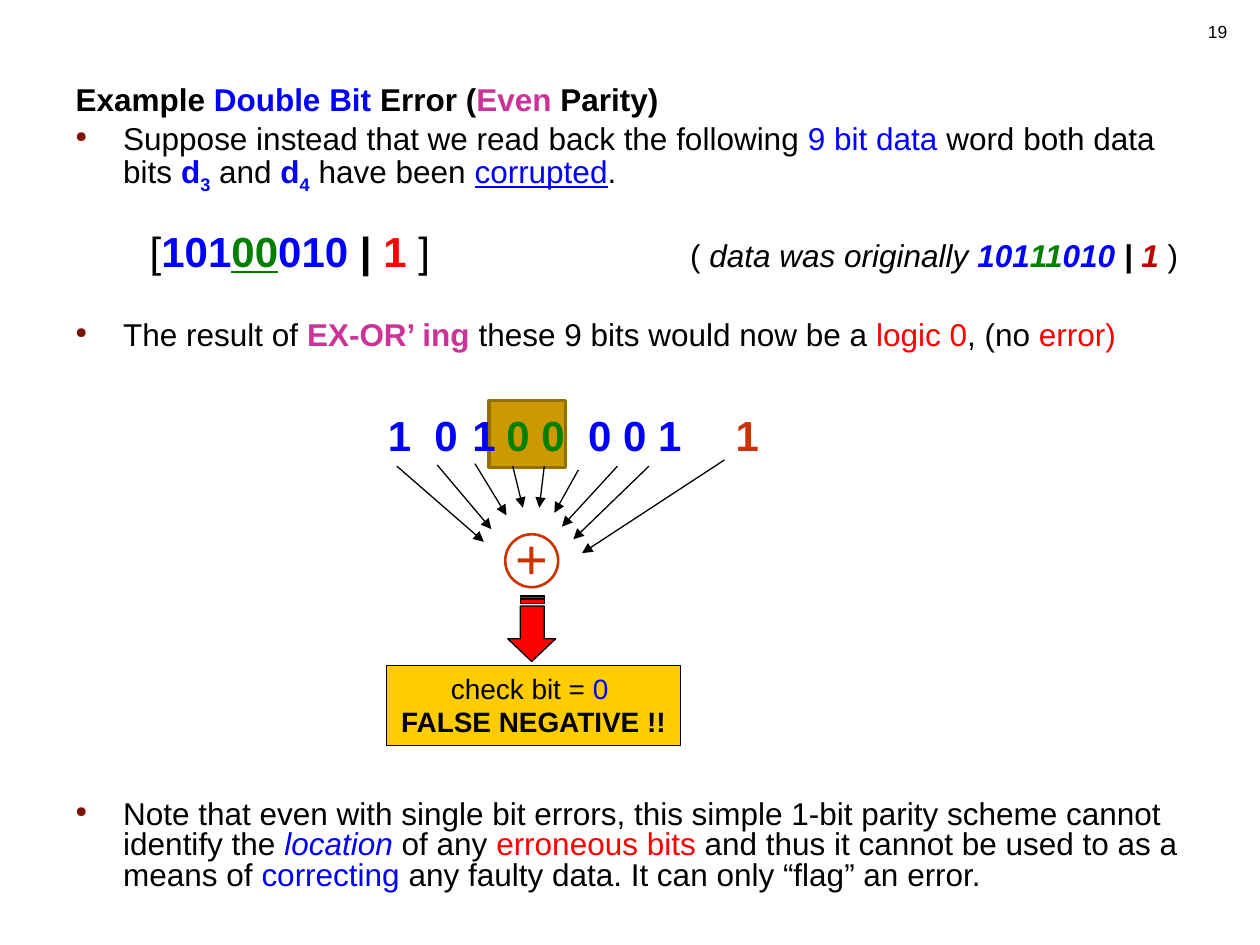
import pptx
import pptx.dml.color
import pptx.enum.shapes
import pptx.enum.text
import pptx.oxml
import pptx.oxml.ns
import pptx.util
from pptx.util import Inches, Pt

BLACK, BLUE, RED, GREEN = "000000", "0000FF", "FF0000", "008000"
PINK, RUST, GOLD = "CC3399", "CC3300", "FFCC00"
ALIGN = pptx.enum.text.PP_ALIGN
SHAPE = pptx.enum.shapes.MSO_SHAPE


def rgb(value):
    return pptx.dml.color.RGBColor.from_string(value)


def add_element(parent, tag, **attributes):
    element = pptx.oxml.parse_xml(f"<a:{tag} {pptx.oxml.ns.nsdecls('a')}/>")
    for name, value in attributes.items():
        element.set(name, str(value))
    parent.append(element)
    return element


def add_span(para, text, size=18, color=BLACK, bold=False, italic=False,
             underline=False, subscript=False):
    span = para.add_run()
    span.text = text
    font = span.font
    font.name, font.size, font.color.rgb = "Arial", Pt(size), rgb(color)
    font.bold, font.italic, font.underline = bold, italic, underline
    if subscript:
        span._r.get_or_add_rPr().set("baseline", "-25000")


class SlideBuilder:
    """Holds the style and the current slide, and adds each kind of element."""

    def __init__(self, slide):
        self.slide = slide
        self.shapes = slide.shapes

    def paragraph(self, frame, spans, first=False, align=ALIGN.LEFT, height=None,
                  before=0, margin=0, indent=0, bullet=False):
        para = frame.paragraphs[0] if first else frame.add_paragraph()
        para.alignment = align
        para.space_before = Pt(before)
        if height:
            para.line_spacing = Pt(height)
        properties = para._p.get_or_add_pPr()
        properties.set("marL", str(Inches(margin)))
        properties.set("indent", str(Inches(indent)))
        if bullet:
            add_element(add_element(properties, "buClr"), "srgbClr", val="7C1302")
            add_element(properties, "buSzPct", val=48000)
            add_element(properties, "buChar", char="●")
        for text, style in spans:
            add_span(para, text, **style)

    def fill_text(self, shape, paragraphs):
        frame = shape.text_frame
        frame.word_wrap = True
        frame.auto_size = pptx.enum.text.MSO_AUTO_SIZE.NONE
        frame.vertical_anchor = pptx.enum.text.MSO_ANCHOR.TOP
        for index, options in enumerate(paragraphs):
            self.paragraph(frame, first=index == 0, **options)

    def title(self, left, top, width, height, paragraph):
        title = self.shapes.title
        title.left, title.top = Inches(left), Inches(top)
        title.width, title.height = Inches(width), Inches(height)
        self.fill_text(title, [paragraph])

    def text(self, left, top, width, height, *paragraphs):
        box = self.shapes.add_textbox(*map(Inches, (left, top, width, height)))
        self.fill_text(box, paragraphs)

    def paint(self, shape, fill, line, weight):
        shape.shadow.inherit = False
        if fill:
            shape.fill.solid()
            shape.fill.fore_color.rgb = rgb(fill)
        else:
            shape.fill.background()
        shape.line.color.rgb = rgb(line)
        shape.line.width = Pt(weight)

    def shape(self, kind, left, top, width, height, fill=None, line=BLACK,
              weight=0.75, paragraphs=()):
        shape = self.shapes.add_shape(kind, *map(Inches, (left, top, width, height)))
        self.paint(shape, fill, line, weight)
        self.fill_text(shape, paragraphs)

    def outline(self, contours, fill):
        contours = [[(Inches(x), Inches(y)) for x, y in contour] for contour in contours]
        builder = self.shapes.build_freeform(*contours[0][0])
        for index, (start, *rest) in enumerate(contours):
            if index:
                builder.move_to(*start)
            builder.add_line_segments(rest, close=True)
        self.paint(builder.convert_to_shape(), fill, BLACK, 0.75)

    def arrow(self, start, end):
        line = self.shapes.add_connector(
            pptx.enum.shapes.MSO_CONNECTOR.STRAIGHT, *map(Inches, start + end))
        line.line.color.rgb = rgb(BLACK)
        line.line.width = Pt(0.75)
        add_element(line.line._get_or_add_ln(), "tailEnd", type="triangle")
        add_element(line._element.spPr, "effectLst")


def add_wording(builder):
    plain, blue, red = {}, {"color": BLUE}, {"color": RED}
    strong_blue = {"color": BLUE, "bold": True}
    low_blue = {**strong_blue, "subscript": True}
    bullet = {"margin": 0.38, "indent": -0.38, "bullet": True}
    builder.text(7.51, 0.12, 2.33, 0.5, {"spans": [("19", {"size": 10})], "align": ALIGN.RIGHT})
    builder.title(0.5, 0.64, 9, 0.35, {"height": 17.4, "spans": [
        ("Example ", {"bold": True}), ("Double Bit ", strong_blue),
        ("Error (", {"bold": True}), ("Even", {"color": PINK, "bold": True}),
        (" Parity)", {"bold": True})]})

    big = {"size": 24, "bold": True}
    slanted = {"bold": True, "italic": True}
    builder.text(
        0.5, 0.89, 9, 2.1,
        {**bullet, "height": 21.8, "spans": [
            ("Suppose instead that we read back the following ", plain),
            ("9 bit data", blue), (" word both data bits ", plain),
            ("d", strong_blue), ("3", low_blue), (" and ", plain),
            ("d", strong_blue), ("4", low_blue), (" have been ", plain),
            ("corrupted", {"color": BLUE, "underline": True}), (".", plain)]},
        {"height": 23, "before": 23.5, "margin": 0.59, "spans": [
            ("[", {"size": 24}), ("101", {**big, "color": BLUE}),
            ("00", {**big, "color": GREEN, "underline": True}),
            ("010 ", {**big, "color": BLUE}), ("| ", big),
            ("1 ", {**big, "color": RED}), ("]", {"size": 24})]},
        {**bullet, "height": 17.4, "before": 26.4, "spans": [
            ("The result of ", plain), ("EX-OR’ ing ", {"color": PINK, "bold": True}),
            ("these 9 bits would now be a ", plain), ("logic 0", red),
            (", (no ", plain), ("error)", red)]})
    builder.text(5.38, 1.88, 4.2, 0.35, {"height": 17.4, "spans": [
        ("( ", plain), ("data was originally ", {"italic": True}),
        ("101", {**slanted, "color": BLUE}), ("11", {**slanted, "color": GREEN}),
        ("010", {**slanted, "color": BLUE}), (" | ", slanted),
        ("1 ", {**slanted, "color": "C00000"}), (")", plain)]})
    builder.text(0.5, 6.31, 9, 0.86, {**bullet, "height": 17.4, "spans": [
        ("Note that even with single bit errors, this simple 1-bit parity scheme "
         "cannot identify the ", plain),
        ("location", {"color": BLUE, "italic": True}), (" of any ", plain),
        ("erroneous bits ", red), ("and thus it cannot be used to as a means of ", plain),
        ("correcting", blue), (" any faulty data. It can only “flag” an error.", plain)]})


def add_diagram(builder):
    builder.shape(SHAPE.RECTANGLE, 3.88, 3.18, 0.61, 0.53, "CC9900", "956F00", 2)
    for left, width, bits, color in [
            (2.98, 0.5, "1", BLUE), (3.35, 0.5, "0", BLUE), (3.65, 0.5, "1", BLUE),
            (3.92, 0.8, "0 0", GREEN), (4.57, 1.1, "0 0 1", BLUE), (5.74, 0.5, "1", RUST)]:
        builder.text(left, 3.2, width, 0.56, {
            "spans": [(bits, {"size": 24, "bold": True, "color": color})]})
    builder.text(3.99, 4.11, 0.46, 0.64, {"spans": [("+", {"size": 32, "color": RUST})]})
    builder.shape(SHAPE.OVAL, 4.01, 4.24, 0.42, 0.42, line=RUST, weight=1.5)
    for start, end in [
            ((3.15, 3.7), (3.84, 4.3)), ((3.47, 3.69), (3.9, 4.2)),
            ((3.77, 3.68), (4.02, 4.09)), ((4.07, 3.7), (4.15, 4.03)),
            ((4.32, 3.7), (4.28, 4.03)), ((4.59, 3.73), (4.4, 4.07)),
            ((4.9, 3.7), (4.46, 4.18)), ((5.15, 3.7), (4.55, 4.28)),
            ((5.75, 3.65), (4.62, 4.39))]:
        builder.arrow(start, end)
    builder.shape(SHAPE.RECTANGLE, 3.07, 5.28, 2.33, 0.64, GOLD, paragraphs=[
        {"align": ALIGN.CENTER, "spans": [
            ("check bit = ", {"size": 16}), ("0 ", {"size": 16, "color": BLUE})]},
        {"align": ALIGN.CENTER, "spans": [("FALSE NEGATIVE !!", {"size": 16, "bold": True})]}])
    left, right = 4.13, 4.32
    stripes = [[(right, top), (left, top), (left, bottom), (right, bottom)]
               for top, bottom in ((4.73, 4.75), (4.76, 4.79))]
    head = [(4.41, 5.07), (right, 5.07), (right, 4.81), (left, 4.81),
            (left, 5.07), (4.03, 5.07), (4.22, 5.25)]
    builder.outline([head, *stripes], RED)


def main():
    deck = pptx.Presentation()
    deck.slide_width, deck.slide_height = Inches(10), Inches(7.5)
    page = deck.slides.add_slide(deck.slide_layouts[5])
    builder = SlideBuilder(page)
    add_wording(builder)
    add_diagram(builder)
    deck.save("out.pptx")


if __name__ == "__main__":
    main()
